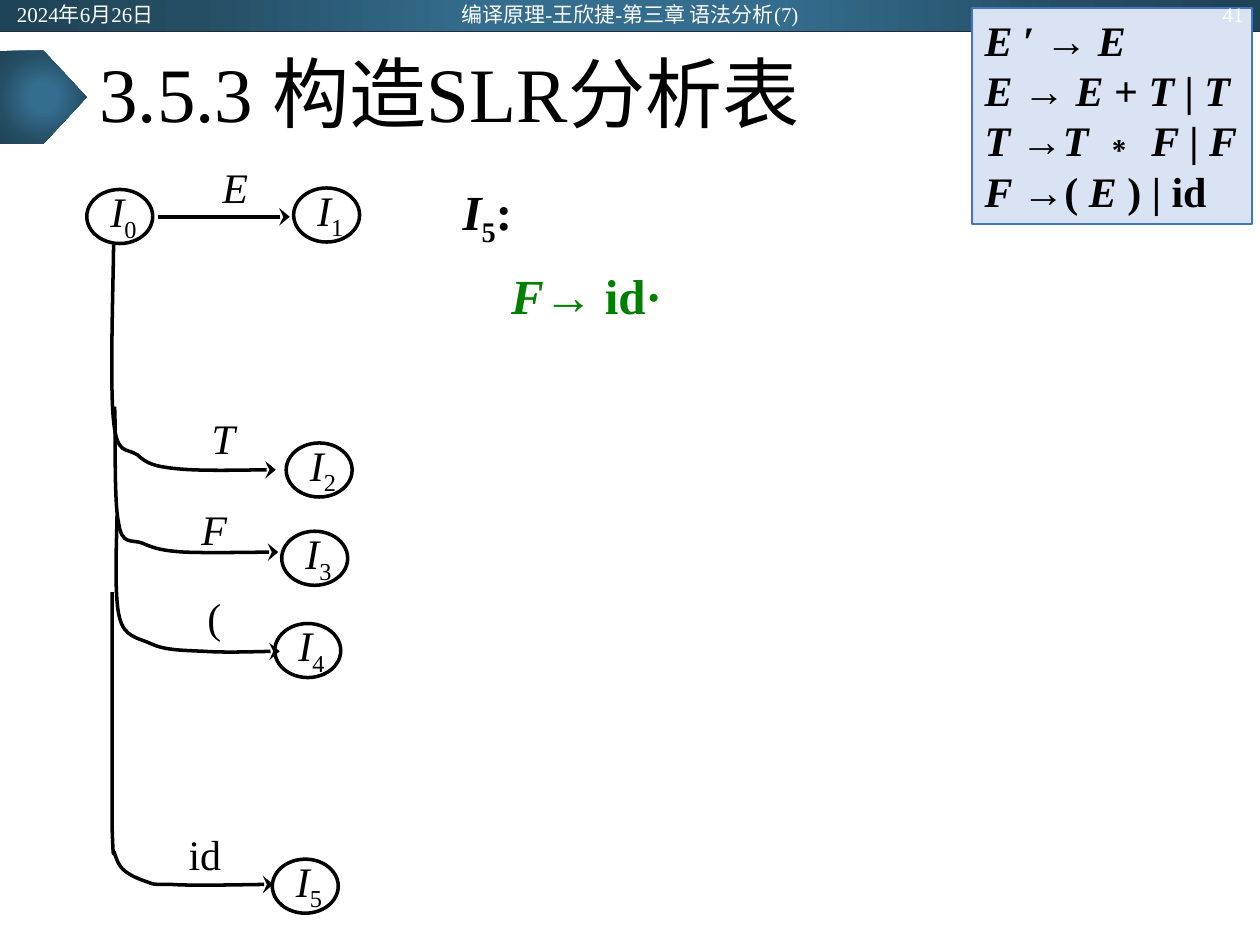
from dataclasses import dataclass
from typing import NamedTuple

from pptx import Presentation
from pptx.dml.color import RGBColor
from pptx.enum.shapes import MSO_CONNECTOR, MSO_SHAPE
from pptx.enum.text import MSO_ANCHOR, MSO_AUTO_SIZE, PP_ALIGN
from pptx.oxml import parse_xml
from pptx.oxml.ns import nsdecls, qn
from pptx.oxml.xmlchemy import OxmlElement
from pptx.util import Cm, Pt


@dataclass(frozen=True)
class Theme:
    font: str = "Times New Roman"
    ink: str = "000000"
    header_text: str = "FFFFFF"
    header_rule: str = "222A35"
    item: str = "008000"
    box_fill: str = "DAE3F3"
    box_line: str = "4472C4"
    gradient: tuple = ((0, "346D8E"), (23, "346D8E"), (69, "254E64"), (97, "204457"))
    title_size: int = 44
    item_size: int = 28
    diagram_size: int = 24
    header_size: int = 12
    stroke: float = 2


class Box(NamedTuple):
    left: float
    top: float
    width: float
    height: float

    def lengths(self):
        return [Cm(value) for value in self]


class State(NamedTuple):
    number: str
    left: float
    top: float


class Label(NamedTuple):
    text: str
    left: float
    top: float
    italic: bool = True


class HeaderText(NamedTuple):
    text: str
    box: Box
    alignment: PP_ALIGN


THEME = Theme()
STATES = [State("0", 1.75, 3.82), State("1", 5.92, 3.79), State("2", 5.77, 8.93),
          State("3", 5.68, 10.71), State("4", 5.54, 12.57), State("5", 5.49, 17.32)]
LABELS = [Label("E", 4.18, 3.32), Label("T", 3.94, 8.38), Label("F", 3.76, 10.21),
          Label("(", 3.76, 11.99, False), Label("id", 3.57, 16.76, False)]
# Each curve: a start point, then three Bézier points per segment
CURVES = [
    [(2.29, 4.93), (2.29, 5.51), (2.21, 7.77), (2.29, 8.48), (2.36, 9.19), (2.54, 9.02),
     (2.77, 9.17), (2.97, 9.35), (3.1, 9.4), (3.56, 9.45), (4.04, 9.5), (5.16, 9.47),
     (5.56, 9.47)],
    [(2.31, 8.2), (2.34, 8.59), (2.29, 10.06), (2.39, 10.54), (2.46, 11), (2.64, 10.87),
     (2.87, 10.95), (3.1, 11.05), (3.25, 11.1), (3.71, 11.13), (4.17, 11.15),
     (5.21, 11.13), (5.61, 11.13)],
    [(2.36, 10.39), (2.36, 10.74), (2.29, 12.01), (2.41, 12.45), (2.51, 12.85),
     (2.77, 12.85), (3.05, 12.98), (3.33, 13.11), (3.68, 13.11), (4.11, 13.13),
     (4.55, 13.16), (5.33, 13.13), (5.64, 13.13)],
    [(2.26, 11.94), (2.26, 12.73), (2.26, 15.77), (2.26, 16.66), (2.29, 17.55),
     (2.29, 17.07), (2.31, 17.2), (2.36, 17.35), (2.39, 17.45), (2.51, 17.55),
     (2.62, 17.65), (2.82, 17.73), (2.97, 17.78), (3.12, 17.83), (3.02, 17.83),
     (3.45, 17.83), (3.86, 17.86), (5.08, 17.83), (5.51, 17.83)],
]
# Runs alternate between italic and upright
GRAMMAR = [("E ", "′ → ", "E"),
           ("E ", "→ ", "E ", "+ ", "T ", "|", " T"),
           ("T ", "→", "T ", "∗", " F ", "| ", "F"),
           ("F ", "→( ", "E ", ") | id")]
HEADER = [HeaderText("2024年6月26日", Box(0.09, 0.03, 5.72, 0.5), PP_ALIGN.LEFT),
          HeaderText("编译原理-王欣捷-第三章 语法分析(7)", Box(8.41, 0.03, 8.58, 0.5),
                     PP_ALIGN.CENTER),
          HeaderText("41", Box(19.6, 0.03, 5.72, 0.5), PP_ALIGN.RIGHT)]


def add_run(paragraph, text: str, size: float, color: str = THEME.ink, bold: bool = False,
            italic: bool = False, subscript: bool = False) -> None:
    run = paragraph.add_run()
    run.text = text
    font = run.font
    font.name, font.size, font.bold, font.italic = THEME.font, Pt(size), bold, italic
    font.color.rgb = RGBColor.from_string(color)
    if subscript:
        font._element.set("baseline", "-25000")


def set_insets(frame, left: float, top: float, right: float, bottom: float) -> None:
    frame.margin_left, frame.margin_top = Cm(left), Cm(top)
    frame.margin_right, frame.margin_bottom = Cm(right), Cm(bottom)


def place(shape, box: Box) -> None:
    shape.left, shape.top, shape.width, shape.height = box.lengths()


def set_line(shape, color: str, width: float, arrow: bool = False) -> None:
    shape.line.color.rgb = RGBColor.from_string(color)
    shape.line.width = Pt(width)
    if arrow:
        tail = OxmlElement("a:tailEnd")
        tail.set("type", "stealth")
        tail.set("w", "lg")
        shape.line._get_or_add_ln().append(tail)


def add_text(slide, box: Box, alignment: PP_ALIGN):
    frame = slide.shapes.add_textbox(*box.lengths()).text_frame
    frame.word_wrap = True
    frame.vertical_anchor = MSO_ANCHOR.MIDDLE
    frame.paragraphs[0].alignment = alignment
    return frame


def add_gradient_shape(slide, kind: MSO_SHAPE, box: Box) -> None:
    shape = slide.shapes.add_shape(kind, *box.lengths())
    shape.shadow.inherit = False
    shape.line.fill.background()
    stops = "".join(f'<a:gs pos="{position * 1000}"><a:srgbClr val="{color}"/></a:gs>'
                    for position, color in THEME.gradient)
    shape._element.spPr.insert(2, parse_xml(
        f'<a:gradFill {nsdecls("a")}><a:gsLst>{stops}</a:gsLst><a:path path="circle">'
        '<a:fillToRect l="50000" t="50000" r="50000" b="50000"/></a:path></a:gradFill>'))


def add_line(slide, start: tuple, end: tuple, color: str, width: float,
             arrow: bool = False) -> None:
    line = slide.shapes.add_connector(MSO_CONNECTOR.STRAIGHT, *map(Cm, start + end))
    set_line(line, color, width, arrow)
    line._element.spPr.append(OxmlElement("a:effectLst"))


def add_state(slide, state: State) -> None:
    shape = slide.shapes.add_shape(
        MSO_SHAPE.OVAL, *Box(state.left, state.top, 1.33, 1.09).lengths())
    shape.shadow.inherit = False
    shape.fill.background()
    set_line(shape, THEME.ink, THEME.stroke)
    frame = shape.text_frame
    frame.word_wrap = False
    frame.vertical_anchor = MSO_ANCHOR.MIDDLE
    set_insets(frame, 0.2, 0.05, 0.05, 0.13)
    paragraph = frame.paragraphs[0]
    paragraph.alignment = PP_ALIGN.CENTER
    add_run(paragraph, "I", THEME.diagram_size, italic=True)
    add_run(paragraph, state.number, THEME.diagram_size, subscript=True)


def add_curve(slide, points: list) -> None:
    """Draw joined cubic Béziers as one open outline with an arrowhead."""
    builder = slide.shapes.build_freeform(*map(Cm, points[0]))
    builder.add_line_segments([(Cm(x), Cm(y)) for x, y in points[1:]], close=False)
    shape = builder.convert_to_shape()
    # Turn every three straight segments into one cubic segment
    segments = list(shape._element.iter(qn("a:lnTo")))
    for first in range(0, len(segments), 3):
        cubic = OxmlElement("a:cubicBezTo")
        segments[first].addprevious(cubic)
        for segment in segments[first:first + 3]:
            cubic.append(segment[0])
            segment.getparent().remove(segment)
    shape.shadow.inherit = False
    shape.fill.background()
    set_line(shape, THEME.ink, THEME.stroke, arrow=True)


def add_grammar(slide) -> None:
    shape = slide.shapes.add_shape(MSO_SHAPE.RECTANGLE, *Box(19.6, 0.16, 5.64, 4.36).lengths())
    shape.shadow.inherit = False
    shape.fill.solid()
    shape.fill.fore_color.rgb = RGBColor.from_string(THEME.box_fill)
    set_line(shape, THEME.box_line, 1)
    frame = shape.text_frame
    frame.word_wrap = False
    frame.vertical_anchor = MSO_ANCHOR.TOP
    for row, parts in enumerate(GRAMMAR):
        paragraph = frame.add_paragraph() if row else frame.paragraphs[0]
        paragraph.alignment = PP_ALIGN.LEFT
        for index, part in enumerate(parts):
            add_run(paragraph, part, THEME.diagram_size, bold=True, italic=index % 2 == 0)


def fill_title(title) -> None:
    place(title, Box(1.75, 0.64, 21.9, 2.64))
    frame = title.text_frame
    frame.auto_size = MSO_AUTO_SIZE.NONE
    frame.vertical_anchor = MSO_ANCHOR.MIDDLE
    paragraph = frame.paragraphs[0]
    paragraph.alignment = PP_ALIGN.LEFT
    paragraph.line_spacing = 0.9
    add_run(paragraph, "3.5.3 构造SLR分析表", THEME.title_size)


def fill_items(body) -> None:
    place(body, Box(9.07, 3.53, 15.14, 15.14))
    frame = body.text_frame
    frame.auto_size = MSO_AUTO_SIZE.NONE
    heading, item = frame.paragraphs[0], frame.add_paragraph()
    for paragraph, indent in ((heading, 0), (item, 0.98)):
        paragraph.space_before = Pt(10)
        properties = paragraph._element.get_or_add_pPr()
        properties.set("marL", str(Cm(indent)))
        properties.set("indent", "0")
        properties.append(OxmlElement("a:buNone"))
    add_run(heading, "I", THEME.item_size, bold=True, italic=True)
    add_run(heading, "5", THEME.item_size, bold=True, subscript=True)
    add_run(heading, ":", THEME.item_size, bold=True)
    add_run(item, "F", THEME.item_size, THEME.item, bold=True, italic=True)
    add_run(item, "→ id·", THEME.item_size, THEME.item, bold=True)


def main() -> None:
    presentation = Presentation()
    presentation.slide_width, presentation.slide_height = Cm(25.4), Cm(19.05)
    slide = presentation.slides.add_slide(presentation.slide_layouts[1])

    # Header band and title marker
    add_gradient_shape(slide, MSO_SHAPE.RECTANGLE, Box(0, 0, 25.4, 0.64))
    add_line(slide, (0, 0.64), (25.4, 0.64), THEME.header_rule, 0.5)
    add_gradient_shape(slide, MSO_SHAPE.PENTAGON, Box(0, 1.02, 1.75, 1.88))

    # Title and item set
    fill_title(slide.shapes.title)
    fill_items(slide.placeholders[1])

    # State diagram
    for state in STATES:
        add_state(slide, state)
    add_line(slide, (3.18, 4.37), (5.84, 4.37), THEME.ink, THEME.stroke, arrow=True)
    for curve in CURVES:
        add_curve(slide, curve)
    for label in LABELS:
        frame = add_text(slide, Box(label.left, label.top, 1.12, 0.89), PP_ALIGN.CENTER)
        set_insets(frame, 0.15, 0.08, 0.15, 0.08)
        add_run(frame.paragraphs[0], label.text, THEME.diagram_size, italic=label.italic)

    # Grammar and header texts
    add_grammar(slide)
    for text, box, alignment in HEADER:
        frame = add_text(slide, box, alignment)
        add_run(frame.paragraphs[0], text, THEME.header_size, THEME.header_text)

    presentation.save("out.pptx")


if __name__ == "__main__":
    main()
